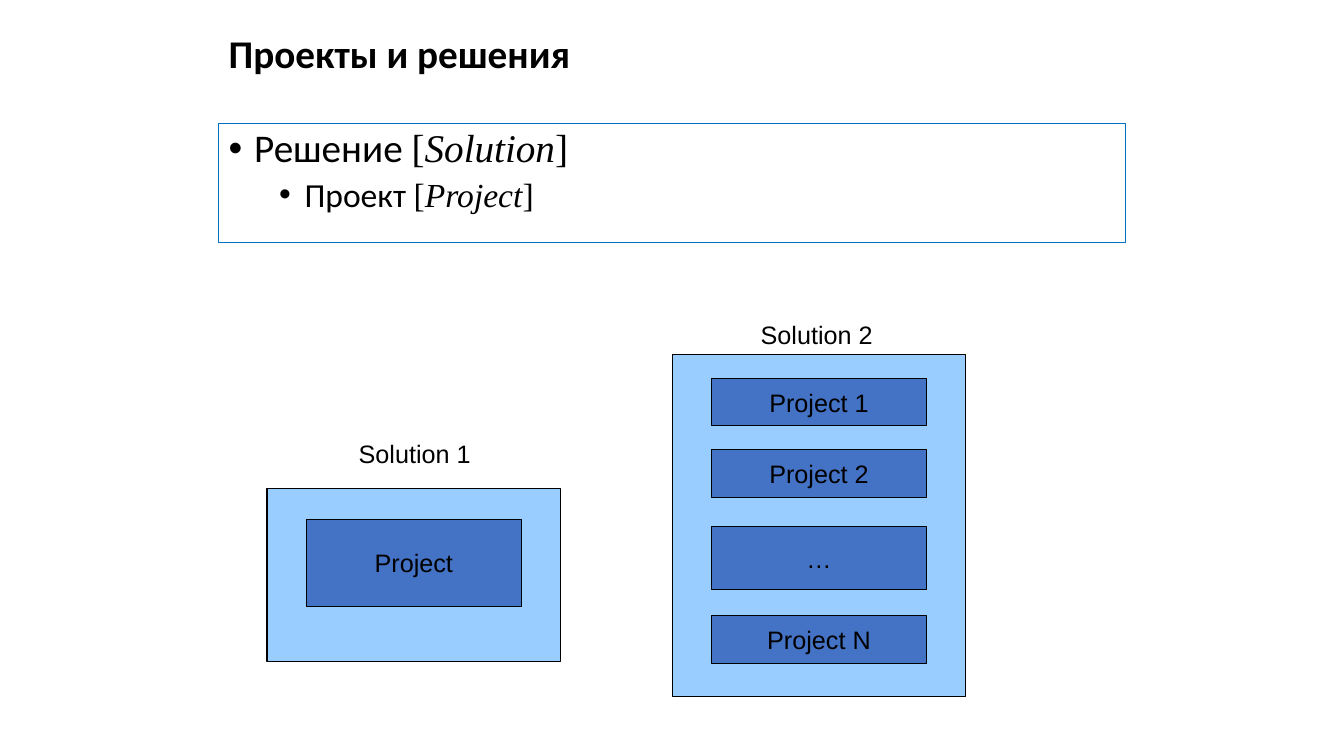
from lxml import etree
from pptx import Presentation
from pptx.dml.color import RGBColor
from pptx.enum.shapes import MSO_SHAPE
from pptx.enum.text import MSO_ANCHOR, MSO_AUTO_SIZE, PP_ALIGN
from pptx.oxml.ns import qn
from pptx.util import Cm, Pt

RECTANGLE = MSO_SHAPE.RECTANGLE
TOP, MIDDLE = MSO_ANCHOR.TOP, MSO_ANCHOR.MIDDLE
NO_FIT, GROW = MSO_AUTO_SIZE.NONE, MSO_AUTO_SIZE.SHAPE_TO_FIT_TEXT
LEFT, CENTER = PP_ALIGN.LEFT, PP_ALIGN.CENTER


def style_font(font, name, size, bold=False, italic=False):
    font.name, font.size = name, Pt(size)
    font.bold, font.italic = bold, italic
    font.color.rgb = RGBColor.from_string("000000")


def add_rectangle(page, left, top, width, height, fill):
    box = page.shapes.add_shape(RECTANGLE, Cm(left), Cm(top), Cm(width), Cm(height))
    box.shadow.inherit = False
    box.fill.solid()
    box.fill.fore_color.rgb = RGBColor.from_string(fill)
    box.line.color.rgb = RGBColor.from_string("000000")
    box.line.width = Pt(0.75)
    return box


deck = Presentation()
deck.slide_width, deck.slide_height = Cm(33.87), Cm(19.05)
page = deck.slides.add_slide(deck.slide_layouts[1])

# Title and list
title, body = page.shapes.title, page.placeholders[1]
for holder, top, height, anchor in ((title, 0.33, 2.16, MIDDLE), (body, 3.12, 3, TOP)):
    holder.left, holder.top = Cm(5.51), Cm(top)
    holder.width, holder.height = Cm(22.86), Cm(height)
    holder.text_frame.auto_size = NO_FIT
    holder.text_frame.vertical_anchor = anchor

title.text_frame.text = "Проекты и решения"
heading = title.text_frame.paragraphs[0]
heading.alignment = LEFT
heading.line_spacing = 0.9
style_font(heading.runs[0].font, "Calibri", 28, bold=True)

body.line.color.rgb = RGBColor.from_string("0070C0")
body.line.width = Pt(0.75)
terms = [("Решение ", "Solution", 28, 0), ("Проект ", "Project", 24, 5)]
for level, (russian, english, size, space) in enumerate(terms):
    para = body.text_frame.paragraphs[0] if level == 0 else body.text_frame.add_paragraph()
    para.level = level
    para.line_spacing = 0.9
    para.space_before = Pt(space)
    properties = para._p.get_or_add_pPr()
    properties.set("marL", str(Cm(0.64 + 1.27 * level)))
    properties.set("indent", str(-Cm(0.64)))
    etree.SubElement(properties, qn("a:buFont")).set("typeface", "Arial")
    etree.SubElement(properties, qn("a:buChar")).set("char", "•")
    for text, font_name, italic in (
        (russian, "Calibri", False),
        ("[", "Times New Roman", False),
        (english, "Times New Roman", True),
        ("]", "Times New Roman", False),
    ):
        span = para.add_run()
        span.text = text
        style_font(span.font, font_name, size, italic=italic)

# Solutions: caption, caption left and top, box left, top and height,
# then each project with its top and height
solutions = [
    ("Solution 1", 8.79, 10.92, 6.73, 12.3, 4.37, [("Project", 13.08, 2.21)]),
    ("Solution 2", 18.92, 7.92, 16.94, 8.94, 8.61, [
        ("Project 1", 9.53, 1.2),
        ("Project 2", 11.33, 1.2),
        ("…", 13.28, 1.58),
        ("Project N", 15.52, 1.2),
    ]),
]
for name, caption_left, caption_top, left, top, height, projects in solutions:
    add_rectangle(page, left, top, 7.4, height, "99CCFF")
    for project, project_top, project_height in projects:
        box = add_rectangle(page, left + 0.99, project_top, 5.42, project_height, "4472C4")
        frame = box.text_frame
        frame.text = project
        frame.word_wrap = False
        frame.vertical_anchor = MIDDLE
        frame.paragraphs[0].alignment = CENTER
        style_font(frame.paragraphs[0].runs[0].font, "Arial", 18)

    caption = page.shapes.add_textbox(Cm(caption_left), Cm(caption_top), Cm(3.35), Cm(1.02))
    caption.text_frame.text = name
    caption.text_frame.word_wrap = False
    caption.text_frame.auto_size = GROW
    style_font(caption.text_frame.paragraphs[0].runs[0].font, "Arial", 18)

deck.save("out.pptx")
